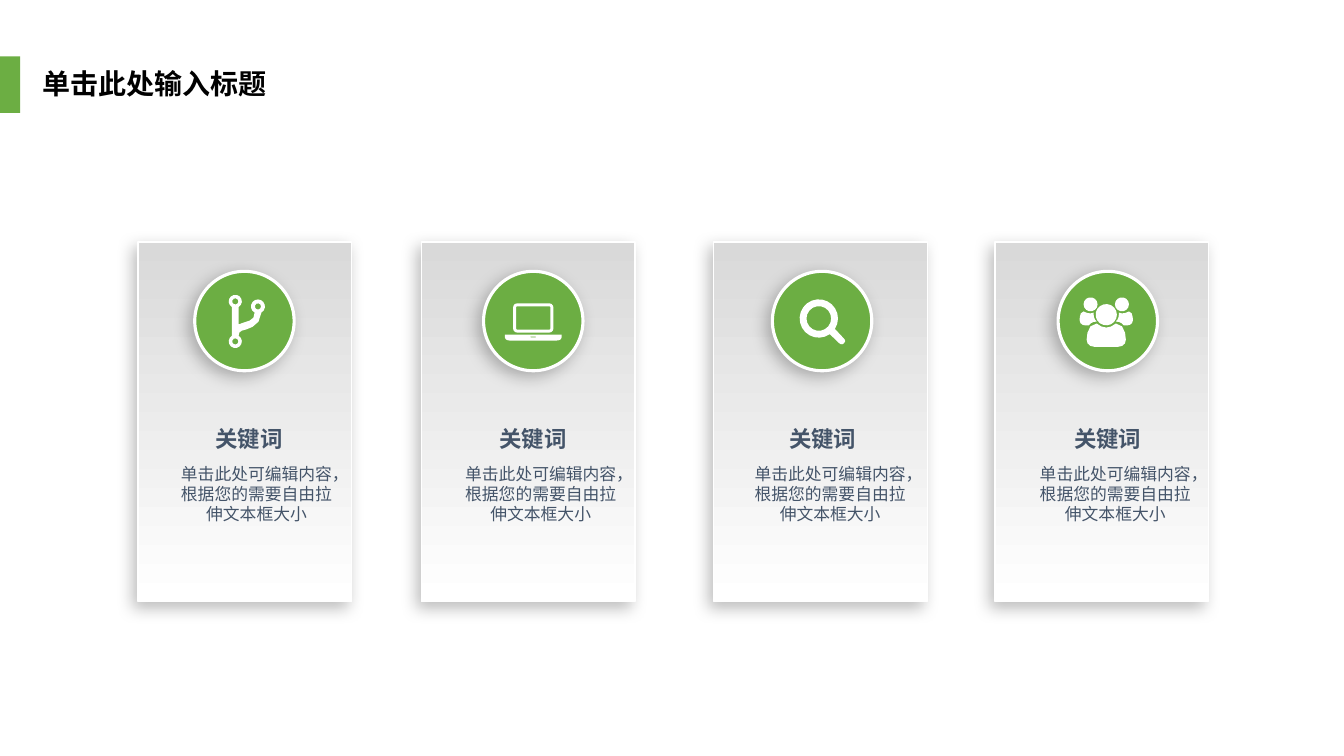
from dataclasses import dataclass
from math import ceil, cos, radians, sin, sqrt

from lxml.etree import SubElement
from pptx import Presentation
from pptx.dml.color import RGBColor as RGB
from pptx.enum.shapes import MSO_SHAPE as Preset
from pptx.enum.text import MSO_AUTO_SIZE as AutoSize, PP_ALIGN as Align
from pptx.oxml.ns import qn
from pptx.shapes.autoshape import Shape
from pptx.slide import Slide
from pptx.util import Pt

Point = tuple[float, float]
Contour = list[Point]
Icon = list[Contour]


@dataclass(frozen=True)
class Theme:
    green: RGB = RGB(0x6C, 0xAE, 0x43)
    white: RGB = RGB(0xFF, 0xFF, 0xFF)
    gray: RGB = RGB(0xD9, 0xD9, 0xD9)
    black: RGB = RGB(0, 0, 0)
    slate: RGB = RGB(0x44, 0x54, 0x69)
    title_font: str = "Noto Sans CJK SC"
    card_font: str = "Arial"
    title_size: float = 20
    keyword_size: float = 16
    body_size: float = 12


@dataclass(frozen=True)
class Card:
    left: float
    badge_center: float
    text_left: float
    icon: Icon


THEME = Theme()
CARD_TOP, CARD_WIDTH, CARD_HEIGHT = 172.8, 152.6, 257
BADGE_SIZE, BADGE_CENTER_Y = 71, 229.3
KEYWORD = "关键词"
BODY = "单击此处可编辑内容，根据您的需要自由拉伸文本框大小"


def arc(x: float, y: float, radius: float, start: float = 0, sweep: float = 360) -> Contour:
    """Points on a circle, clockwise in degrees from the right-hand side."""
    steps = max(2, ceil(sqrt(radius) * sweep / 60))
    angles = [radians(start + sweep * i / steps) for i in range(steps + 1)]
    return [(x + radius * cos(a), y + radius * sin(a)) for a in angles]


def curve(a: Point, b: Point, c: Point, d: Point) -> Contour:
    """Points on a cubic Bezier curve, without its first one."""
    times = [i / 3 for i in range(1, 4)]
    return [
        tuple((1 - t) ** 3 * p + 3 * (1 - t) ** 2 * t * q + 3 * (1 - t) * t * t * r + t ** 3 * s
              for p, q, r, s in zip(a, b, c, d))
        for t in times
    ]


def rounded(left: float, top: float, right: float, bottom: float, radius: float) -> Contour:
    x0, y0, x1, y1 = left + radius, top + radius, right - radius, bottom - radius
    corners = [(x0, y0, 180), (x1, y0, 270), (x1, y1, 0), (x0, y1, 90)]
    return [point for x, y, start in corners for point in arc(x, y, radius, start, 90)]


def mirrored(contour: Contour) -> Contour:
    return [(-x, y) for x, y in reversed(contour)]


def branch_icon() -> Icon:
    top, right, bottom = (-6.5, -14), (9.7, -10.4), (-6.5, 14.6)
    outline = [
        *arc(*top, 4.7, 120, 300),
        (-4.1, 2.4), (-0.4, 1.1),
        *curve((-0.4, 1.1), (4.7, -0.4), (7.4, -1.2), (7.4, -6.4)),
        *arc(*right, 5, 120, 300),
        *curve((12, -6.4), (11.9, 2.5), (5.4, 4.7), (1.1, 6.1)),
        *curve((1.1, 6.1), (-2.5, 6.8), (-4.1, 7.6), (-4.1, 10.4)),
        *arc(*bottom, 4.7, -60, 300),
    ]
    return [outline, *(arc(*node, 2.2) for node in (top, right, bottom))]


def laptop_icon() -> Icon:
    right_corner = [(20.2, 11.9), *curve((20.2, 11.9), (20.2, 13.2), (18.6, 14), (16.6, 14))]
    base = [(-20.2, 9.7), (20.2, 9.7), *right_corner, *mirrored(right_corner)]
    return [
        base,
        rounded(-14.4, -12.6, 14.4, 8.3, 2.9),
        rounded(-12.2, -10.4, 12.2, 6.1, 0.5),
        [(-2.1, 11.2), (2.1, 11.2), (1.8, 11.8), (-1.8, 11.8)],
    ]


def search_icon() -> Icon:
    lens = (-2.3, -1.8)
    outline = [
        *arc(*lens, 13.7, 55, 338),
        (15.5, 12.4),
        *curve((15.5, 12.4), (16.8, 13.6), (16.8, 14.4), (15.8, 15.8)),
        *curve((15.8, 15.8), (14.4, 17.2), (13.2, 16.8), (11.9, 15.5)),
    ]
    return [outline, arc(*lens, 8.8)]


def team_icon() -> Icon:
    left_head = arc(-11.2, -11.9, 5)
    left_body = [
        (-14.8, 3.2),
        *curve((-14.8, 3.2), (-17, 3.2), (-19, 1.8), (-19, -0.4)),
        *curve((-19, -0.4), (-19, -1.8), (-19, -6.8), (-16.2, -6.8)),
        *curve((-16.2, -6.8), (-15.8, -6.8), (-14, -5.4), (-11.2, -5.4)),
        (-9, -6), (-9, -4.7),
        *curve((-9, -4.7), (-9, -2.5), (-8.3, -1), (-6.8, 0.4)),
        *curve((-6.8, 0.4), (-9, 0.4), (-11.2, 1.1), (-12.6, 3.2)),
    ]
    front_half = [
        *curve((0, 4.7), (-4, 4.7), (-6.2, 1.8), (-6.8, 1.8)),
        *curve((-6.8, 1.8), (-12.6, 1.8), (-14, 9), (-14, 13.3)),
        *curve((-14, 13.3), (-14, 16.4), (-11.8, 18.4), (-8.6, 18.4)),
    ]
    sides = [left_head, left_body]
    front = [(0, 4.7), *front_half, *mirrored(front_half)]
    contours = [arc(0, -4.5, 7.6), front, *sides, *map(mirrored, sides)]
    return [[(x - 1.1, y) for x, y in contour] for contour in contours]


CARDS = [
    Card(98.6, 174.6, 85.7, branch_icon()),
    Card(301, 380.9, 288.7, laptop_icon()),
    Card(509.8, 587.2, 495.4, search_icon()),
    Card(710.6, 791.3, 699.1, team_icon()),
]


def add_preset(slide: Slide, preset: Preset, left: float, top: float, width: float,
               height: float, *, fill: RGB | None = None, outline: float = 0) -> None:
    """Add a shape; no fill colour means the card gradient, an outline also casts a shadow."""
    shape = slide.shapes.add_shape(preset, Pt(left), Pt(top), Pt(width), Pt(height))
    shape.shadow.inherit = False
    if fill is None:
        shape.fill.gradient()
        shape.fill.gradient_angle = 90
        for stop, color in zip(shape.fill.gradient_stops, (THEME.white, THEME.gray)):
            stop.color.rgb = color
    else:
        shape.fill.solid()
        shape.fill.fore_color.rgb = fill
    if outline:
        shape.line.color.rgb = THEME.white
        shape.line.width = Pt(outline)
        cast_shadow(shape)
    else:
        shape.line.fill.background()


def cast_shadow(shape: Shape) -> None:
    effects = shape.element.spPr.find(qn("a:effectLst"))
    shadow = SubElement(effects, qn("a:outerShdw"), blurRad=str(Pt(12)), dist=str(Pt(5)),
                        dir=str(135 * 60000), algn="tr", rotWithShape="0")
    color = SubElement(shadow, qn("a:srgbClr"), val=str(THEME.black))
    SubElement(color, qn("a:alpha"), val="26000")


def add_icon(slide: Slide, icon: Icon, center_x: float, center_y: float) -> None:
    placed = [[(Pt(center_x + x), Pt(center_y + y)) for x, y in contour] for contour in icon]
    builder = slide.shapes.build_freeform(*placed[0][0])
    for index, (start, *rest) in enumerate(placed):
        if index:
            builder.move_to(*start)
        builder.add_line_segments(rest, close=True)
    glyph = builder.convert_to_shape()
    glyph.shadow.inherit = False
    glyph.fill.solid()
    glyph.fill.fore_color.rgb = THEME.white
    glyph.line.fill.background()


def add_text(slide: Slide, text: str, left: float, top: float, width: float, height: float, *,
             size: float, color: RGB = THEME.slate, font: str = THEME.card_font,
             bold: bool = False, align: Align = Align.CENTER, inset: Point = (0, 0),
             space_before: float = 0.2) -> None:
    frame = slide.shapes.add_textbox(Pt(left), Pt(top), Pt(width), Pt(height)).text_frame
    frame.word_wrap = True
    frame.auto_size = AutoSize.SHAPE_TO_FIT_TEXT
    frame.margin_left = frame.margin_right = Pt(inset[0])
    frame.margin_top = frame.margin_bottom = Pt(inset[1])
    paragraph = frame.paragraphs[0]
    paragraph.alignment = align
    paragraph.space_before = Pt(space_before * size)
    run = paragraph.add_run()
    run.text = text
    run.font.name, run.font.size, run.font.bold = font, Pt(size), bold
    run.font.color.rgb = color


def main() -> None:
    deck = Presentation()
    deck.slide_width, deck.slide_height = Pt(960), Pt(540)
    slide = deck.slides.add_slide(deck.slide_layouts[6])
    add_preset(slide, Preset.RECTANGLE, 0, 40.3, 14.4, 40.3, fill=THEME.green)
    add_text(slide, "单击此处输入标题", 23.3, 43.9, 211, 31.7, size=THEME.title_size,
             color=THEME.black, font=THEME.title_font, bold=True, align=Align.LEFT,
             inset=(7.2, 3.6), space_before=0)
    for card in CARDS:
        add_preset(slide, Preset.RECTANGLE, card.left, CARD_TOP, CARD_WIDTH, CARD_HEIGHT, outline=1)
        add_preset(slide, Preset.OVAL, card.badge_center - BADGE_SIZE / 2,
                   BADGE_CENTER_Y - BADGE_SIZE / 2, BADGE_SIZE, BADGE_SIZE,
                   fill=THEME.green, outline=2.25)
        add_icon(slide, card.icon, card.badge_center, BADGE_CENTER_Y)
        add_text(slide, KEYWORD, card.text_left, 303.8, 184.3, 19.4,
                 size=THEME.keyword_size, bold=True)
        add_text(slide, BODY, card.text_left + 43.2, 331.2, 108.7, 43.9, size=THEME.body_size)
    deck.save("out.pptx")


if __name__ == "__main__":
    main()
